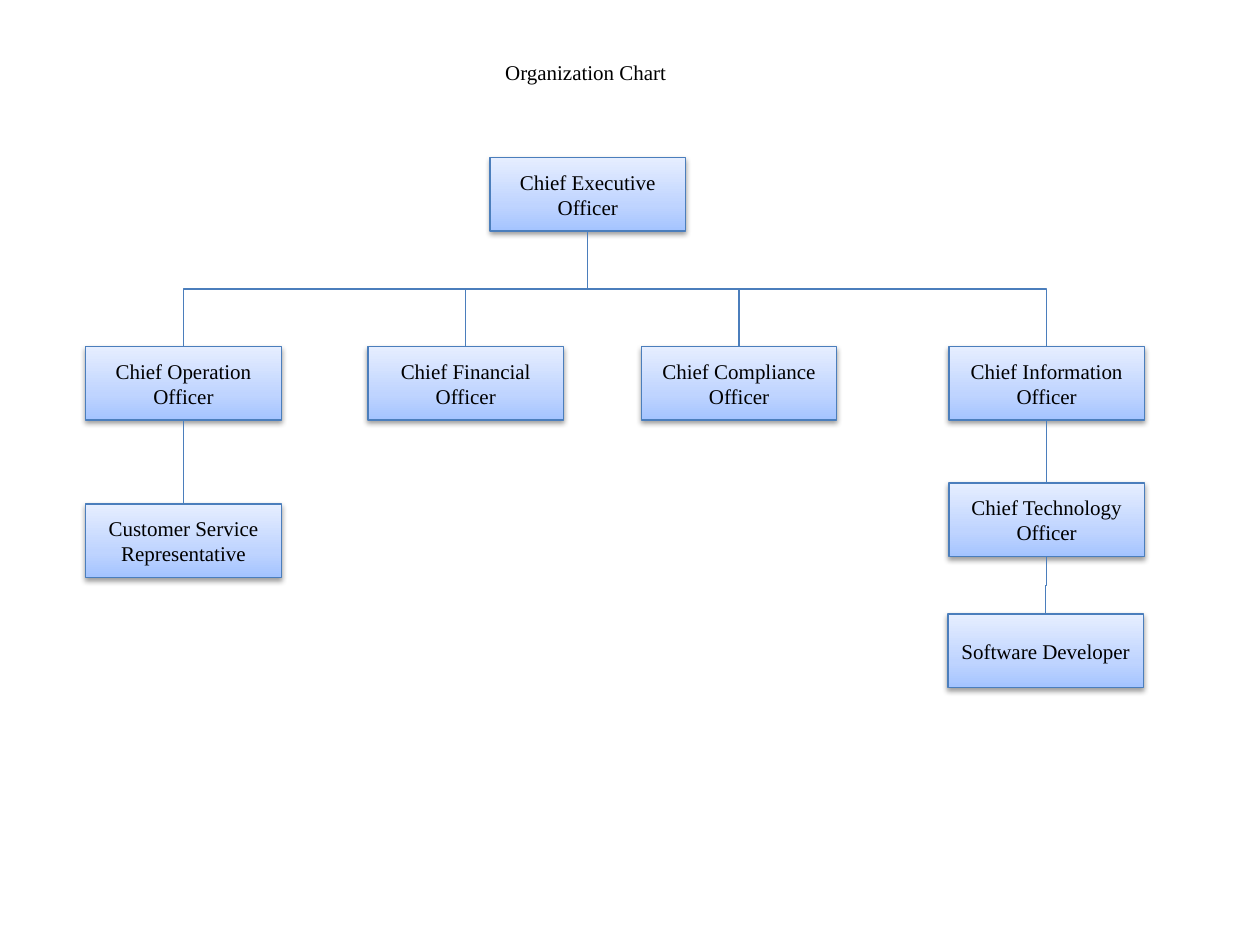
from lxml import etree
from pptx import Presentation
from pptx import util as u
from pptx.dml.color import RGBColor
from pptx.enum import shapes, text
from pptx.oxml import ns

BLACK = RGBColor(0x00, 0x00, 0x00)
BLUE_LINE = RGBColor(0x4B, 0x7E, 0xBC)
GRADIENT = [
    (0, RGBColor(0xA4, 0xC4, 0xFF)),
    (35, RGBColor(0xBF, 0xD4, 0xFF)),
    (100, RGBColor(0xE6, 0xEE, 0xFF)),
]
FONT = "Times New Roman"
BOX_WIDTH, BOX_HEIGHT = u.Cm(3.94), u.Cm(1.48)
BOTTOM_SITE, TOP_SITE = 2, 0

# Role: (left, top) in cm, measured from the corner of the chart
ROLES = {
    "Chief Executive Officer": (8.15, 0),
    "Chief Operation Officer": (0, 3.81),
    "Chief Financial Officer": (5.69, 3.81),
    "Chief Compliance Officer": (11.2, 3.81),
    "Chief Information Officer": (17.4, 3.81),
    "Customer Service Representative": (0, 6.98),
    "Chief Technology Officer": (17.4, 6.56),
    "Software Developer": (17.38, 9.2),
}
REPORTS = {
    "Chief Executive Officer": [
        "Chief Operation Officer", "Chief Financial Officer",
        "Chief Compliance Officer", "Chief Information Officer",
    ],
    "Chief Operation Officer": ["Customer Service Representative"],
    "Chief Information Officer": ["Chief Technology Officer"],
    "Chief Technology Officer": ["Software Developer"],
}


def add_child(parent, tag, **attributes):
    """Append a DrawingML element to parent."""
    child = etree.SubElement(parent, ns.qn(tag))
    for name, value in attributes.items():
        child.set(name, str(value))
    return child


def write(paragraph, wording):
    """Add one run in the slide's type style."""
    run = paragraph.add_run()
    run.text = wording
    run.font.name = FONT
    run.font.size = u.Pt(12)
    run.font.color.rgb = BLACK


def place_title(title, left, top, width, height):
    """Move the title placeholder into its box and fill it."""
    title.left, title.top, title.width, title.height = left, top, width, height
    frame = title.text_frame
    frame.word_wrap = False
    frame.auto_size = text.MSO_AUTO_SIZE.SHAPE_TO_FIT_TEXT
    frame.vertical_anchor = text.MSO_ANCHOR.TOP
    paragraph = frame.paragraphs[0]
    paragraph.alignment = text.PP_ALIGN.LEFT
    write(paragraph, "Organization Chart")


def outline(line):
    """Apply the thin blue line."""
    line.color.rgb = BLUE_LINE
    line.width = u.Pt(0.75)


def fill_gradient(shape):
    """Fill a shape with the gradient that darkens downwards."""
    shape.fill.gradient()
    gradient = shape.element.spPr.find(ns.qn("a:gradFill"))
    stops = gradient.find(ns.qn("a:gsLst"))
    for stop in list(stops):
        stops.remove(stop)
    for position, color in GRADIENT:
        stop = add_child(stops, "a:gs", pos=position * 1000)
        add_child(stop, "a:srgbClr", val=color)
    shape.fill.gradient_angle = 90


def add_shadow(shape):
    """Give a shape a soft shadow below it."""
    shape.shadow.inherit = False
    effects = shape.element.spPr.find(ns.qn("a:effectLst"))
    shadow = add_child(effects, "a:outerShdw", blurRad=u.Pt(3.1), dist=u.Pt(1.6),
                       dir=5400000, rotWithShape=0)
    color = add_child(shadow, "a:srgbClr", val=BLACK)
    add_child(color, "a:alpha", val=38000)


def add_role(slide, role, left, top):
    """Draw the box of one role."""
    shape = slide.shapes.add_shape(
        shapes.MSO_SHAPE.RECTANGLE, left, top, BOX_WIDTH, BOX_HEIGHT)
    fill_gradient(shape)
    outline(shape.line)
    add_shadow(shape)
    frame = shape.text_frame
    frame.word_wrap = True
    frame.vertical_anchor = text.MSO_ANCHOR.MIDDLE
    paragraph = frame.paragraphs[0]
    paragraph.alignment = text.PP_ALIGN.CENTER
    write(paragraph, role)
    return shape


def add_report_line(slide, manager, report):
    """Join two boxes by an elbow that leaves downwards."""
    connector = slide.shapes.add_connector(shapes.MSO_CONNECTOR.ELBOW, 0, 0, 0, 0)
    connector.begin_connect(manager, BOTTOM_SITE)
    connector.end_connect(report, TOP_SITE)
    start_x, end_x = (box.left + BOX_WIDTH // 2 for box in (manager, report))
    start_y, end_y = manager.top + BOX_HEIGHT, report.top
    drop, span = end_y - start_y, abs(end_x - start_x)
    # A quarter turn makes the first leg vertical, so the sides swap
    connector.left = (start_x + end_x - drop) // 2
    connector.top = (start_y + end_y - span) // 2
    connector.width, connector.height = drop, span
    to_right = end_x > start_x
    transform = connector.element.spPr.find(ns.qn("a:xfrm"))
    transform.attrib.clear()
    transform.set("rot", "16200000" if to_right else "5400000")
    if to_right:
        transform.set("flipH", "1")
    outline(connector.line)
    add_child(connector.element.spPr, "a:effectLst")


def add_organization_chart(slide, left, top):
    """Draw all roles and their reporting lines from the chart's corner."""
    boxes = {
        role: add_role(slide, role, left + u.Cm(x), top + u.Cm(y))
        for role, (x, y) in ROLES.items()
    }
    for manager, reports in REPORTS.items():
        for report in reports:
            add_report_line(slide, boxes[manager], boxes[report])


def main():
    """Build and save the slide."""
    presentation = Presentation()
    presentation.slide_width, presentation.slide_height = u.Cm(25.4), u.Cm(19.05)
    slide = presentation.slides.add_slide(
        presentation.slide_layouts.get_by_name("Title Only"))
    place_title(slide.shapes.title, u.Cm(9.93), u.Cm(1.07), u.Cm(3.81), u.Cm(0.76))
    add_organization_chart(slide, u.Cm(1.73), u.Cm(3.18))
    presentation.save("out.pptx")


main()
